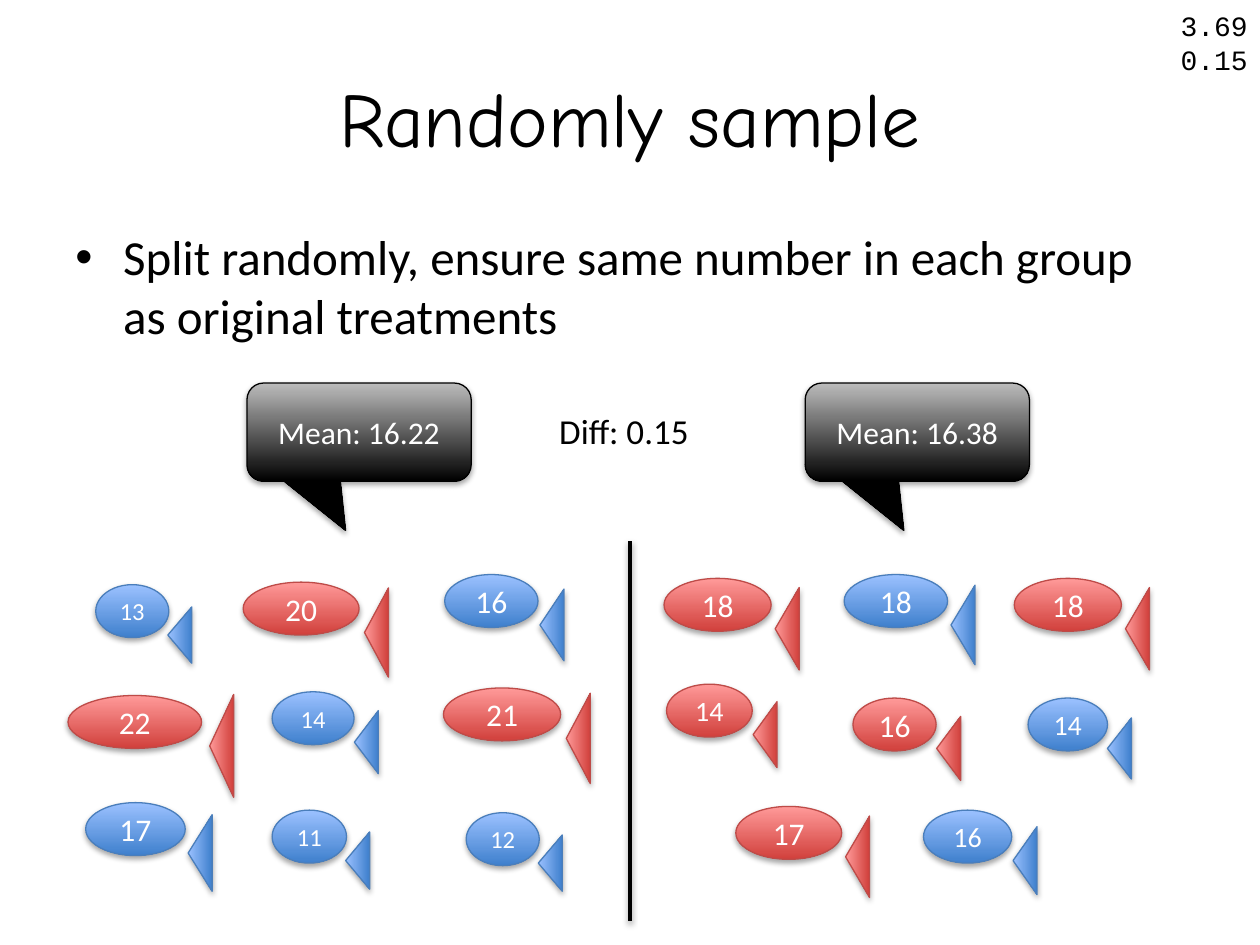
"""Builds the slide on splitting a sample of fish at random into two groups."""
from lxml import etree
from pptx import Presentation
from pptx.dml.color import RGBColor
from pptx.enum.shapes import MSO_CONNECTOR, MSO_SHAPE
from pptx.enum.text import MSO_ANCHOR, PP_ALIGN
from pptx.oxml.ns import qn
from pptx.util import Inches, Pt

ELLIPSE, TRIANGLE = MSO_SHAPE.OVAL, MSO_SHAPE.ISOSCELES_TRIANGLE
CALLOUT = MSO_SHAPE.ROUNDED_RECTANGULAR_CALLOUT
STRAIGHT = MSO_CONNECTOR.STRAIGHT
LEFT, CENTER, RIGHT = PP_ALIGN.LEFT, PP_ALIGN.CENTER, PP_ALIGN.RIGHT
TOP, MIDDLE = MSO_ANCHOR.TOP, MSO_ANCHOR.MIDDLE

WIDTH, HEIGHT = Inches(10), Inches(7.5)
COLUMNS, ROWS = 100, 75
BLACK, WHITE = "000000", "FFFFFF"
BLUE = ("9BC1FF", "3F80CD", "4A7EBB")
RED = ("FF9A99", "D1403C", "BE4B48")
GREY = ("BCBCBC", BLACK, BLACK)

FISH = [
    (13, BLUE, 7.6, 46.4, 5.8, 14), (20, RED, 19.3, 46.2, 9.2, 18),
    (16, BLUE, 35.3, 45.6, 7.4, 18), (22, RED, 5.4, 55.2, 10.6, 18),
    (14, BLUE, 21.6, 54.9, 6.5, 14), (21, RED, 35.2, 54.6, 9.3, 18),
    (17, BLUE, 6.8, 63.7, 7.9, 18), (11, BLUE, 21.6, 64.3, 5.9, 14),
    (12, BLUE, 37, 64.5, 5.8, 14), (18, RED, 52.7, 45.9, 8.5, 18),
    (18, BLUE, 67, 45.6, 8.2, 18), (18, RED, 80.5, 45.9, 8.5, 18),
    (14, RED, 52.9, 54.3, 6.8, 16), (16, RED, 67.7, 55.4, 6.6, 18),
    (14, BLUE, 81.6, 55.4, 6.3, 16), (17, RED, 58.4, 64, 8.4, 18),
    (16, BLUE, 73.3, 64.3, 7, 16),
]


def rgb(value):
    """Return the colour of a hex string."""
    return RGBColor.from_string(value)


class SlidePainter:
    """Holds the style and the slide, and draws on a grid of columns and rows."""

    font = "Calibri"
    body_height = 4.2
    tail_length = 1.9

    def __init__(self, slide):
        """Keep the slide to draw on."""
        self.slide = slide

    def box(self, left, top, width, height):
        """Turn grid columns and rows into lengths."""
        across, down = WIDTH / COLUMNS, HEIGHT / ROWS
        return [round(n) for n in (left * across, top * down, width * across, height * down)]

    def fill_text(self, frame, lines, size, color, align=CENTER, anchor=MIDDLE, wrap=False,
                  font=None):
        """Fill a text frame, one paragraph a line."""
        frame.word_wrap = wrap
        frame.vertical_anchor = anchor
        for index, line in enumerate(lines):
            paragraph = frame.add_paragraph() if index else frame.paragraphs[0]
            paragraph.alignment = align
            run = paragraph.add_run()
            run.text = line
            run.font.size = Pt(size)
            run.font.name = font or self.font
            run.font.color.rgb = rgb(color)

    def shade(self, shape, alpha=35):
        """Add a soft shadow that falls downwards."""
        effects = etree.SubElement(shape._element.spPr, qn("a:effectLst"))
        shadow = etree.SubElement(effects, qn("a:outerShdw"), blurRad="40000",
                                  dist="23000", dir="5400000", rotWithShape="0")
        color = etree.SubElement(shadow, qn("a:srgbClr"), val=BLACK)
        etree.SubElement(color, qn("a:alpha"), val=str(alpha * 1000))

    def solid(self, shapes, preset, place, palette):
        """Draw a preset shape with a gradient, an outline and a shadow."""
        shape = shapes.add_shape(preset, *self.box(*place))
        start, end, outline = palette
        shape.fill.gradient()
        shape.fill.gradient_angle = 270
        for position, (stop, color) in enumerate(zip(shape.fill.gradient_stops, (start, end))):
            stop.color.rgb = rgb(color)
            stop.position = position
        shape.line.color.rgb = rgb(outline)
        shape.line.width = Pt(0.75)
        self.shade(shape)
        return shape

    def title(self, wording, place):
        """Move and format the title placeholder."""
        title = self.slide.shapes.title
        title.left, title.top, title.width, title.height = self.box(*place)
        self.fill_text(title.text_frame, [wording], 44, BLACK, wrap=True, font="Comic Neue")

    def text(self, lines, place, size, **style):
        """Add a text box."""
        frame = self.slide.shapes.add_textbox(*self.box(*place)).text_frame
        self.fill_text(frame, lines, size, BLACK, anchor=TOP, **style)
        return frame

    def bullet(self, wording, place):
        """Add a bulleted text with a hanging indent."""
        paragraph = self.text([wording], place, 28, align=LEFT, wrap=True).paragraphs[0]
        paragraph.space_before = Pt(5.6)
        properties = paragraph._p.get_or_add_pPr()
        properties.set("marL", str(Inches(0.38)))
        properties.set("indent", str(-Inches(0.38)))
        etree.SubElement(properties, qn("a:buFont"), typeface="Arial")
        etree.SubElement(properties, qn("a:buChar"), char="•")

    def fish(self, number, palette, left, top, width, size):
        """Draw a fish whose tail grows with its body."""
        parts = self.slide.shapes.add_group_shape().shapes
        body = self.solid(parts, ELLIPSE, (left, top, width, self.body_height), palette)
        self.fill_text(body.text_frame, [str(number)], size, WHITE)
        spread = 0.77 * width
        tail_place = (left + 1.15 * width - spread / 2, top + 4 - self.tail_length / 2,
                      spread, self.tail_length)
        self.solid(parts, TRIANGLE, tail_place, palette).rotation = 270

    def mean(self, value, left):
        """Draw the callout with the mean of one group."""
        callout = self.solid(self.slide.shapes, CALLOUT, (left, 30.4, 17.8, 7.8), GREY)
        for index, share in enumerate((-0.06, 1, 0.17)):
            callout.adjustments[index] = share
        self.fill_text(callout.text_frame, [f"Mean: {value}"], 18, WHITE)

    def divider(self, column, bottom, top):
        """Draw the upright line between the groups."""
        x, start, _, _ = self.box(column, bottom, 0, 0)
        end = self.box(column, top, 0, 0)[1]
        line = self.slide.shapes.add_connector(STRAIGHT, x, start, x, end)
        line.line.color.rgb = rgb(BLACK)
        line.line.width = Pt(2)
        self.shade(line, 38)


def main():
    """Build and save the slide."""
    deck = Presentation()
    deck.slide_width, deck.slide_height = WIDTH, HEIGHT
    painter = SlidePainter(deck.slides.add_slide(deck.slide_layouts[5]))
    painter.title("Randomly sample", (5, 3, 90, 12.5))
    painter.bullet("Split randomly, ensure same number in each group as original treatments",
                   (5, 17.5, 90, 49.5))
    for fish in FISH:
        painter.fish(*fish)
    painter.text(["3.69", "0.15"], (92.5, 0.2, 7.5, 6.4), 16, align=RIGHT, font="Courier New")
    painter.divider(50, 73.1, 42.9)
    painter.mean("16.22", 19.6)
    painter.mean("16.38", 63.9)
    painter.text(["Diff: 0.15"], (43.4, 32, 12.4, 4.4), 20, align=LEFT)
    deck.save("out.pptx")


if __name__ == "__main__":
    main()
